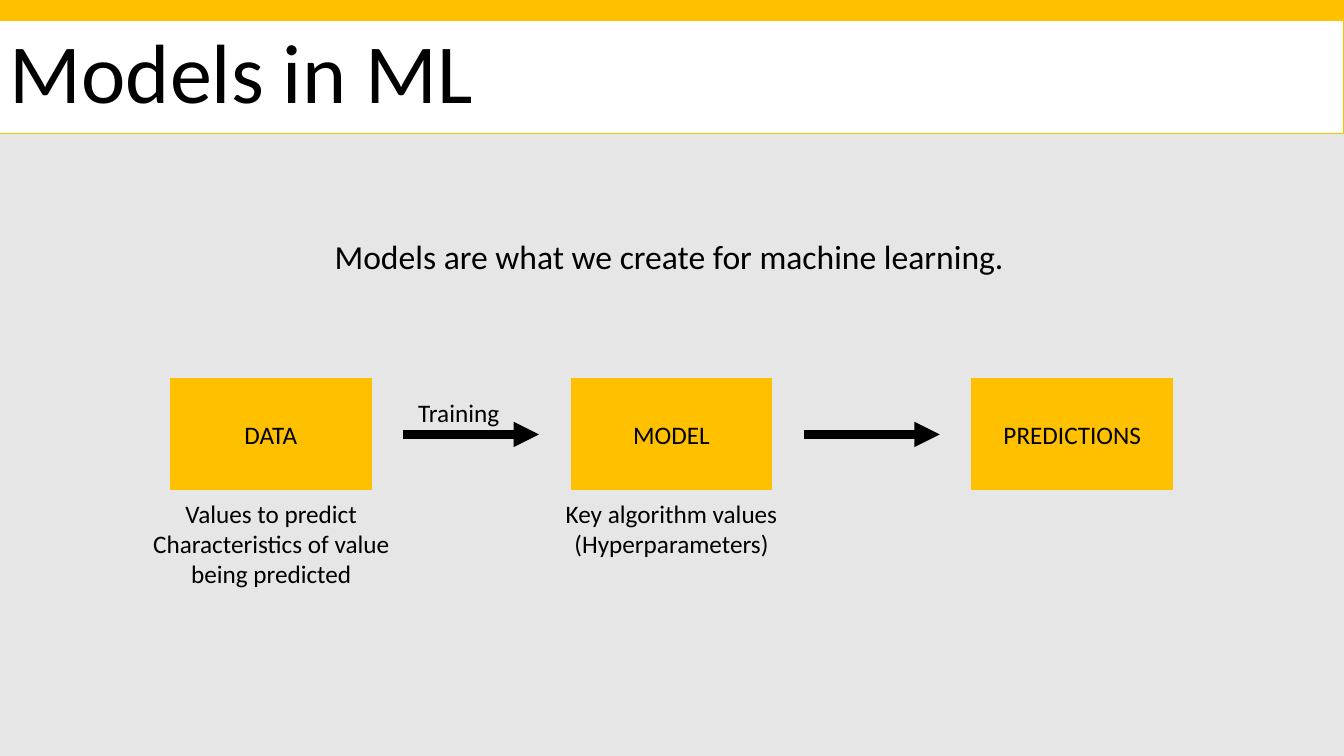
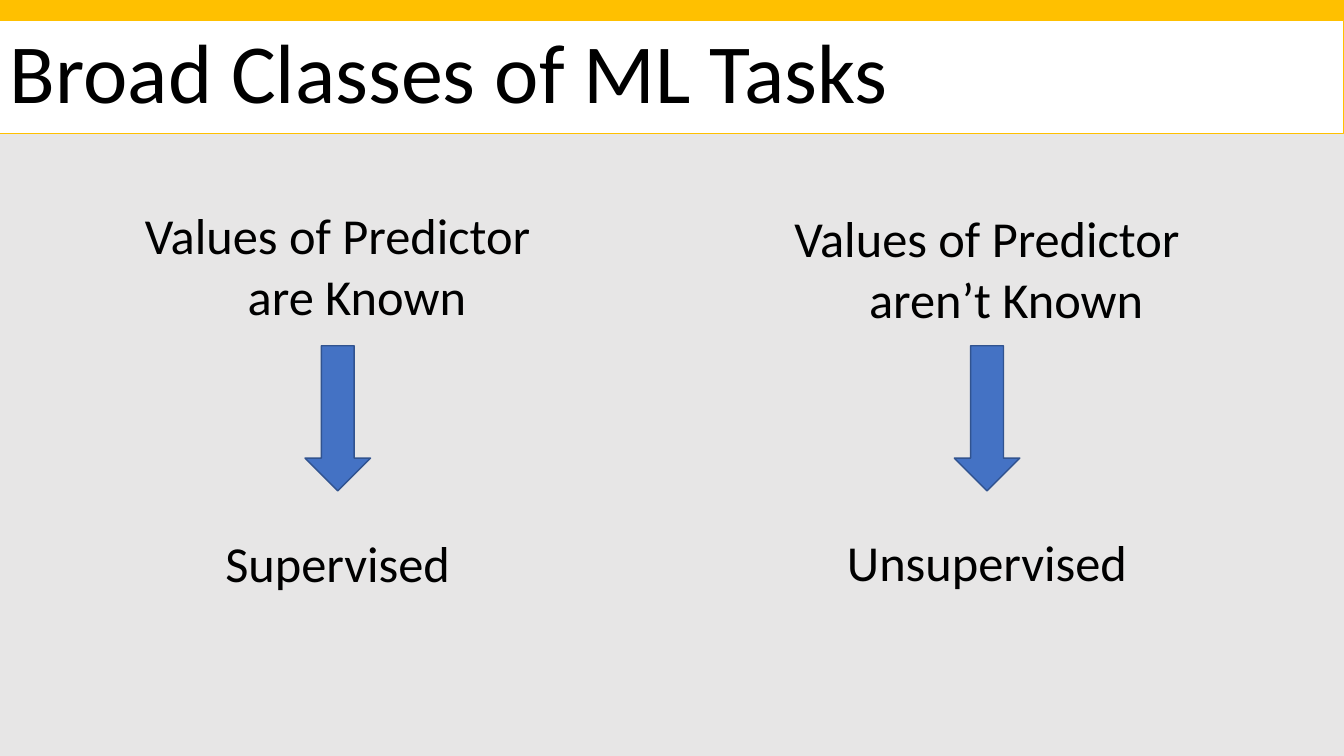
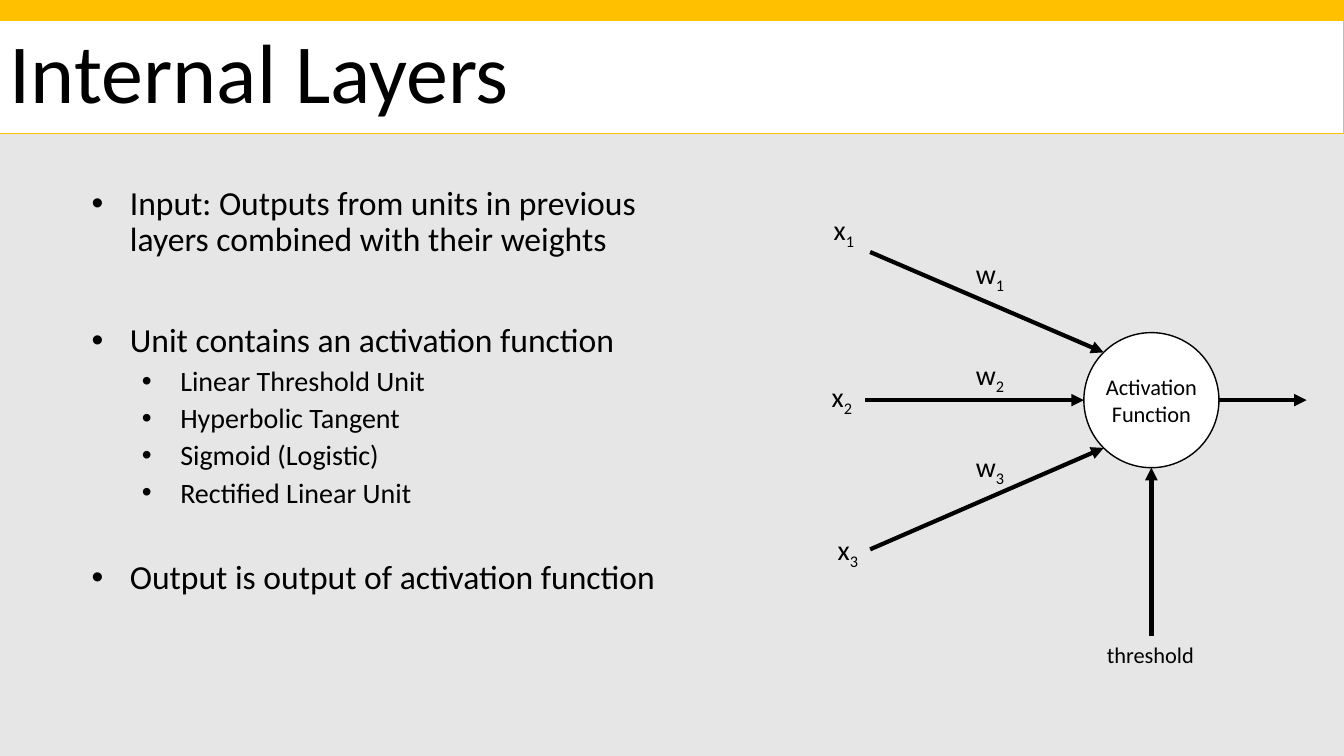
"""Build three slides on machine learning models, tasks and internal layers."""
from math import sqrt

from lxml.etree import SubElement
from pptx import Presentation
from pptx.dml.color import RGBColor
from pptx.enum.shapes import MSO_CONNECTOR as Connector, MSO_SHAPE as Shape
from pptx.enum.text import MSO_ANCHOR as Anchor, PP_ALIGN as Align
from pptx.oxml.ns import qn
from pptx.util import Inches, Pt

FONT = "Calibri"
BLACK = RGBColor(0x00, 0x00, 0x00)
WHITE = RGBColor(0xFF, 0xFF, 0xFF)
GREY = RGBColor(0xE7, 0xE6, 0xE6)
GOLD = RGBColor(0xFF, 0xC0, 0x00)
BLUE = RGBColor(0x44, 0x72, 0xC4)
DARK_BLUE = RGBColor(0x31, 0x53, 0x8F)
SLIDE_WIDTH, SLIDE_HEIGHT = 13.33, 7.5
HANGING = 0.38

MODEL_INTRO = "Models are what we create for machine learning."
MODEL_STEPS = ["DATA", "MODEL", "PREDICTIONS"]
TRAINING = "Training"
STEP_NOTES = [
    ("Values to predict\nCharacteristics of value being predicted", (1.13, 4.89, 3.12, 1.01)),
    ("Key algorithm values\n(Hyperparameters)", (5.5, 4.89, 2.32, 0.71)),
]

TASK_CLASSES = [
    {"centre": 3.35, "condition": "Values of Predictor are Known", "width": 4.07, "top": 1.98,
     "name": "Supervised", "name_top": 5.23},
    {"centre": 9.79, "condition": "Values of Predictor aren’t Known", "width": 4.51, "top": 2.01,
     "name": "Unsupervised", "name_top": 5.22},
]

LAYER_POINTS = [
    (0, "Input: Outputs from units in previous layers combined with their weights", 0),
    (0, "Unit contains an activation function", 46.4),
    (1, "Linear Threshold Unit", 5),
    (1, "Hyperbolic Tangent", 5),
    (1, "Sigmoid (Logistic)", 5),
    (1, "Rectified Linear Unit", 5),
    (0, "Output is output of activation function", 37),
]
LEVEL_STYLES = [(24, HANGING), (20, 0.88)]
UNIT_TEXT = "Activation\nFunction"
THRESHOLD = "threshold"
INPUTS = [
    {"label": (8.17, 2.06), "weight_top": 2.5, "start": (8.63, 2.5), "side": -1},
    {"label": (8.15, 3.72), "weight_top": 3.5, "start": (8.58, 3.97), "side": 0},
    {"label": (8.21, 5.23), "weight_top": 4.41, "start": (8.63, 5.45), "side": 1},
]


def write(shape, text, size, align=Align.LEFT, anchor=Anchor.TOP, wrap=True):
    """Fill a shape with text in the shared font."""
    frame = shape.text_frame
    frame.text = text
    frame.word_wrap = wrap
    frame.vertical_anchor = anchor
    for paragraph in frame.paragraphs:
        paragraph.alignment = align
        for run in paragraph.runs:
            style(run, size)
    return frame


def style(run, size):
    """Apply the shared font to a run."""
    run.font.name = FONT
    run.font.size = Pt(size)
    run.font.color.rgb = BLACK


def add_text(slide, box, text, size, align=Align.LEFT, wrap=True):
    """Add a text box and return its text frame."""
    shape = slide.shapes.add_textbox(*map(Inches, box))
    return write(shape, text, size, align, wrap=wrap)


def add_block(slide, kind, box, fill, line, width=0.75):
    """Add a filled and outlined preset shape."""
    shape = slide.shapes.add_shape(kind, *map(Inches, box))
    shape.shadow.inherit = False
    shape.fill.solid()
    shape.fill.fore_color.rgb = fill
    shape.line.color.rgb = line
    shape.line.width = Pt(width)
    return shape


def add_arrow(slide, start, end, width):
    """Add a straight black arrow."""
    arrow = slide.shapes.add_connector(Connector.STRAIGHT, *map(Inches, (*start, *end)))
    arrow.line.color.rgb = BLACK
    arrow.line.width = Pt(width)
    SubElement(arrow.line._get_or_add_ln(), qn("a:tailEnd"), type="triangle")
    SubElement(arrow._element.spPr, qn("a:effectLst"))


def add_subscripted(slide, box, letter, number):
    """Add a letter with a subscript number."""
    frame = add_text(slide, box, letter, 20, wrap=False)
    run = frame.paragraphs[0].add_run()
    run.text = str(number)
    style(run, 20)
    run._r.get_or_add_rPr().set("baseline", "-25000")


def indent(paragraph, left):
    """Give a paragraph a left margin with a hanging first line."""
    properties = paragraph._p.get_or_add_pPr()
    properties.set("marL", str(Inches(left)))
    properties.set("indent", str(-Inches(HANGING)))
    return properties


def add_slide(presentation, title):
    """Add a slide with the gold band and the title bar."""
    slide = presentation.slides.add_slide(presentation.slide_layouts[6])
    add_block(slide, Shape.RECTANGLE, (0, 0, SLIDE_WIDTH, 0.39), GOLD, GOLD, 1)
    bar = add_block(slide, Shape.RECTANGLE, (0, 0.2, SLIDE_WIDTH, 1.12), WHITE, GOLD)
    frame = write(bar, title, 60, anchor=Anchor.MIDDLE)
    frame.paragraphs[0].line_spacing = 0.9
    return slide


def build_models(presentation):
    """Draw the flow from data through the model to predictions."""
    slide = add_slide(presentation, "Models in ML")
    intro = add_text(slide, (3.22, 2.34, 6.9, 0.5), MODEL_INTRO, 24)
    intro.paragraphs[0].line_spacing = 0.9
    left, top, width, height, step, margin = 1.69, 3.76, 1.99, 1.1, 3.975, 0.32
    middle = top + height / 2
    for index, name in enumerate(MODEL_STEPS):
        x = left + index * step
        block = add_block(slide, Shape.RECTANGLE, (x, top, width, height), GOLD, GOLD)
        write(block, name, 18, Align.CENTER, Anchor.MIDDLE)
        if index:
            add_arrow(slide, (x - step + width + margin, middle), (x - margin, middle), 6)
    add_text(slide, (4.05, 3.89, 1, 0.4), TRAINING, 18, wrap=False)
    for text, box in STEP_NOTES:
        add_text(slide, box, text, 18, Align.CENTER)


def build_tasks(presentation):
    """Draw the two classes of tasks side by side."""
    slide = add_slide(presentation, "Broad Classes of ML Tasks")
    for task in TASK_CLASSES:
        centre = task["centre"]
        parts = [(task["condition"], task["width"], task["top"], 1.44),
                 (task["name"], 3.2, task["name_top"], 0.74)]
        for text, width, top, height in parts:
            box = (centre - width / 2, top, width, height)
            frame = add_text(slide, box, text, 36, Align.CENTER)
            indent(frame.paragraphs[0], HANGING)
        add_block(slide, Shape.DOWN_ARROW, (centre - 0.325, 3.43, 0.65, 1.44), BLUE, DARK_BLUE, 1)


def build_layers(presentation):
    """Draw the bullet list and the unit with its inputs."""
    slide = add_slide(presentation, "Internal Layers")
    text = "\n".join(point for _, point, _ in LAYER_POINTS)
    frame = add_text(slide, (0.81, 1.8, 5.8, 4.31), text, 24)
    for paragraph, (level, _, before) in zip(frame.paragraphs, LAYER_POINTS):
        size, left = LEVEL_STYLES[level]
        paragraph.level = level
        paragraph.line_spacing = 0.9
        paragraph.space_before = Pt(before)
        paragraph.runs[0].font.size = Pt(size)
        properties = indent(paragraph, left)
        SubElement(properties, qn("a:buFont"), typeface="Arial")
        SubElement(properties, qn("a:buChar"), char="•")

    x, y, radius = 11.42, 3.97, 0.67
    diagonal = radius / sqrt(2)
    circle = (x - radius, y - radius, 2 * radius, 2 * radius)
    unit = add_block(slide, Shape.OVAL, circle, WHITE, BLACK, 1)
    unit_frame = write(unit, UNIT_TEXT, 16, Align.CENTER, Anchor.MIDDLE)
    unit_frame.margin_left = unit_frame.margin_right = 0
    for number, source in enumerate(INPUTS, 1):
        side = source["side"]
        reach = diagonal if side else radius
        add_arrow(slide, source["start"], (x - reach, y + side * diagonal), 3)
        add_subscripted(slide, (*source["label"], 0.42, 0.44), "x", number)
        add_subscripted(slide, (9.58, source["weight_top"], 0.5, 0.44), "w", number)
    add_arrow(slide, (x, 6.31), (x, y + radius), 3)
    add_arrow(slide, (x + radius, y), (12.96, y), 3)
    add_text(slide, (10.88, 6.31, 1.08, 0.37), THRESHOLD, 16, wrap=False)


def main():
    """Build and save the presentation."""
    presentation = Presentation()
    presentation.slide_width = Inches(SLIDE_WIDTH)
    presentation.slide_height = Inches(SLIDE_HEIGHT)
    background = presentation.slide_master.background.fill
    background.solid()
    background.fore_color.rgb = GREY
    for build in (build_models, build_tasks, build_layers):
        build(presentation)
    presentation.save("out.pptx")


if __name__ == "__main__":
    main()
